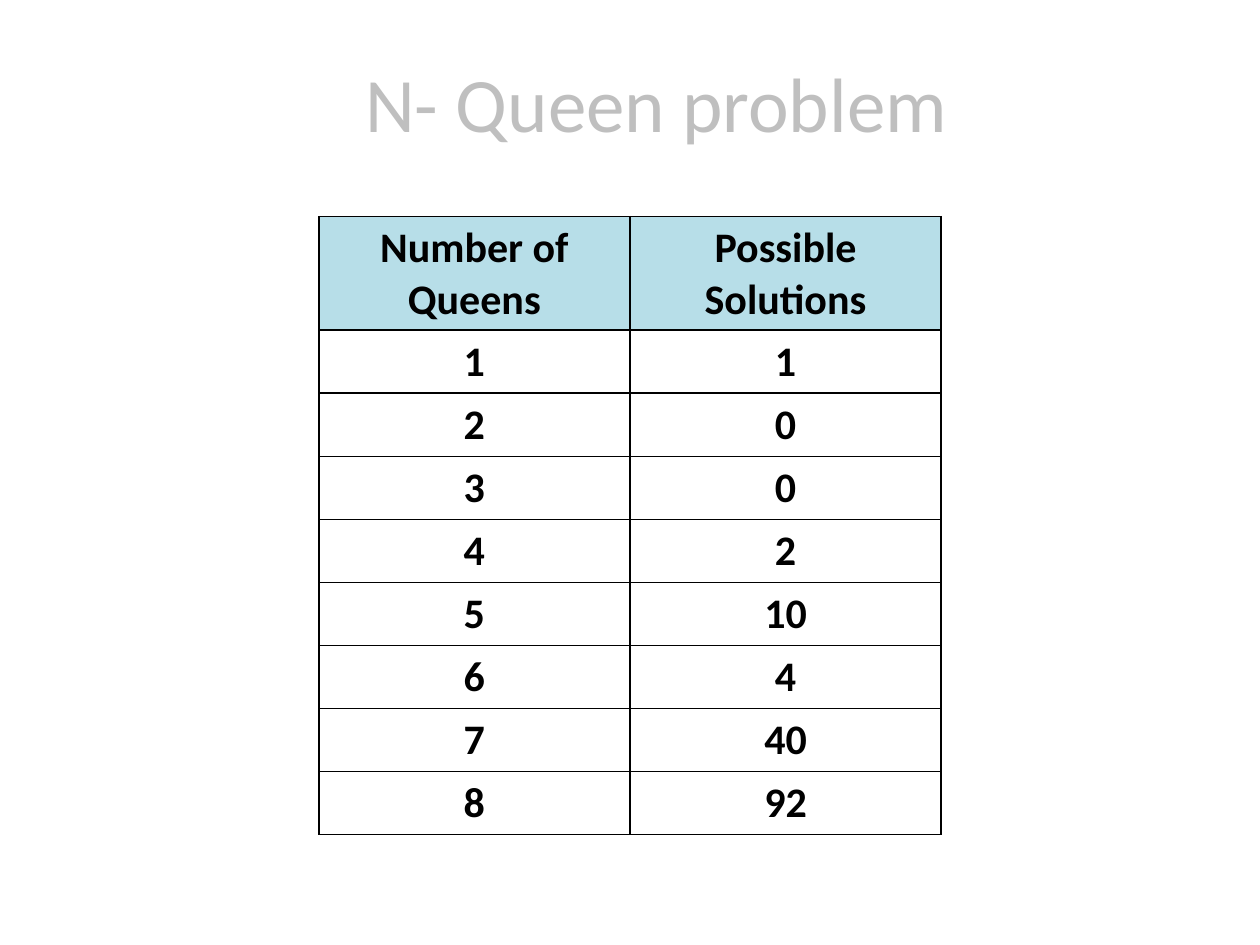
from lxml import etree
from pptx import Presentation
from pptx.dml.color import RGBColor
from pptx.enum.text import MSO_ANCHOR, PP_ALIGN
from pptx.oxml.ns import qn
from pptx.util import Inches, Pt

CENTER = PP_ALIGN.CENTER
MIDDLE = MSO_ANCHOR.MIDDLE

TITLE = "N- Queen problem"
HEADER = ("Number of Queens", "Possible Solutions")
SOLUTIONS = [1, 0, 0, 2, 10, 4, 40, 92]  # for 1, 2, 3 ... queens

FONT = "Calibri"
GREY, BLACK, LIGHT_BLUE = "BFBFBF", "000000", "B7DEE8"
TABLE_LEFT, TABLE_TOP = 2.53, 1.72
COLUMN_WIDTH, ROW_HEIGHT = 2.47, 0.49


def rgb(color):
    return RGBColor.from_string(color)


def write(text_frame, text, size, color, bold=False):
    paragraph = text_frame.paragraphs[0]
    paragraph.alignment = CENTER
    run = paragraph.add_run()
    run.text = text
    run.font.name = FONT
    run.font.size = Pt(size)
    run.font.bold = bold
    run.font.color.rgb = rgb(color)


def add_borders(cell, color, width):
    """Draw all four sides; borders must precede the fill in the cell XML."""
    properties = cell._tc.get_or_add_tcPr()
    for position, side in enumerate(("a:lnL", "a:lnR", "a:lnT", "a:lnB")):
        line = etree.Element(qn(side), w=str(Pt(width)))
        fill = etree.SubElement(line, qn("a:solidFill"))
        etree.SubElement(fill, qn("a:srgbClr"), val=color)
        properties.insert(position, line)


def add_title(slide):
    title = slide.shapes.add_textbox(Inches(0.42), Inches(0.37), Inches(9.58), Inches(0.88))
    title.text_frame.word_wrap = True
    title.text_frame.vertical_anchor = MIDDLE
    write(title.text_frame, TITLE, 44, GREY)


def add_solution_table(slide):
    rows = [HEADER, *enumerate(SOLUTIONS, start=1)]
    table = slide.shapes.add_table(
        len(rows), len(HEADER), Inches(TABLE_LEFT), Inches(TABLE_TOP),
        Inches(COLUMN_WIDTH * len(HEADER)), Inches(ROW_HEIGHT * len(rows))).table
    table.horz_banding = False
    for column in table.columns:
        column.width = Inches(COLUMN_WIDTH)
    for row_index, values in enumerate(rows):
        table.rows[row_index].height = Inches(ROW_HEIGHT)
        for column_index, value in enumerate(values):
            cell = table.cell(row_index, column_index)
            if row_index == 0:
                cell.fill.solid()
                cell.fill.fore_color.rgb = rgb(LIGHT_BLUE)
            else:
                cell.fill.background()
            add_borders(cell, BLACK, 1)
            write(cell.text_frame, str(value), 24, BLACK, bold=True)


def main():
    presentation = Presentation()
    presentation.slide_width = Inches(10)
    presentation.slide_height = Inches(7.5)
    slide = presentation.slides.add_slide(presentation.slide_layouts[6])
    add_title(slide)
    add_solution_table(slide)
    presentation.save("out.pptx")


if __name__ == "__main__":
    main()
